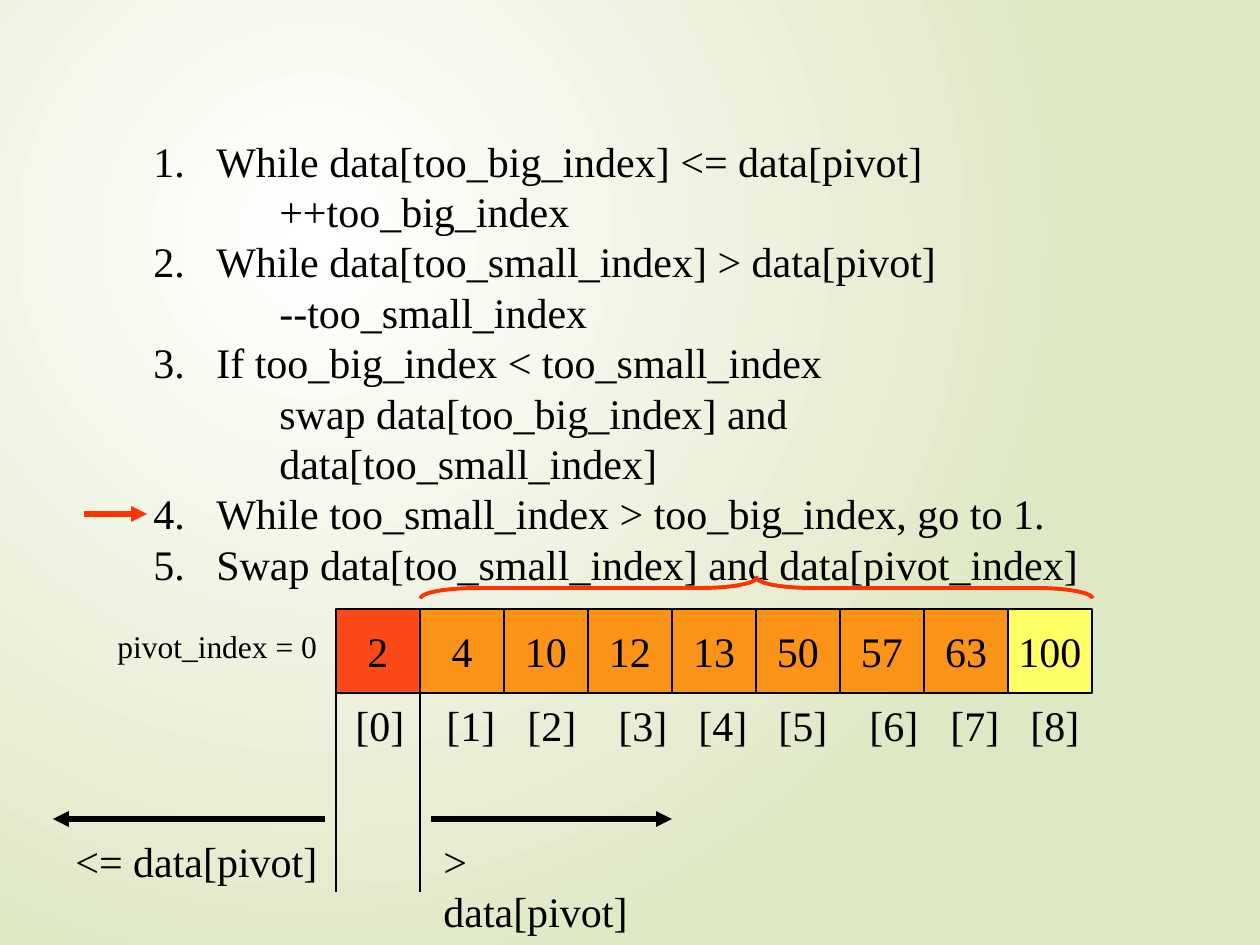
from dataclasses import dataclass
from itertools import accumulate

from lxml import etree
from pptx import Presentation
from pptx import util as u
from pptx.dml.color import RGBColor
from pptx.enum import shapes, text
from pptx.oxml.ns import qn

PX = 914400 / 126
FONT = "Times New Roman"
BLACK, RED = "000000", "FF3300"
PIVOT, SORTED, LAST = "FB4A18", "FB9318", "FFFF66"
CELL, ROW_LEFT, ROW_TOP = 84, 336, 609
STEP_INDENT = 63


@dataclass
class Step:
    condition: str
    action: str = ""


@dataclass
class Label:
    content: str
    left: int
    top: int
    width: int
    height: int = 63
    size: int = 24


@dataclass
class Line:
    start: tuple[int, int]
    end: tuple[int, int]
    color: str = BLACK
    width: float = 3
    arrow: bool = True


STEPS = [
    Step("While data[too_big_index] <= data[pivot]", "++too_big_index"),
    Step("While data[too_small_index] > data[pivot]", "--too_small_index"),
    Step("If too_big_index < too_small_index",
         "swap data[too_big_index] and data[too_small_index]"),
    Step("While too_small_index > too_big_index, go to 1."),
    Step("Swap data[too_small_index] and data[pivot_index]"),
]
VALUES = [2, 4, 10, 12, 13, 50, 57, 63, 100]
INDEX_GAPS = [91, 81, 91, 80, 80, 91, 81, 80]
LABELS = [
    Label("pivot_index = 0", 105, 621, 225, 50, 18),
    Label("> data[pivot]", 431, 829, 243),
    Label("<= data[pivot]", 63, 829, 267),
]
LINES = [
    Line((84, 514), (147, 514), RED),
    Line((420, ROW_TOP), (420, 892), width=0.75, arrow=False),
    Line((431, 819), (672, 819)),
    Line((336, ROW_TOP), (336, 892), width=0.75, arrow=False),
    Line((325, 819), (53, 819)),
]


def px(length: float) -> int:
    return round(length * PX)


def rgb(color: str) -> RGBColor:
    return RGBColor.from_string(color)


def write(paragraph, content: str, *, size: int = 24, color: str = BLACK, align=None) -> None:
    run = paragraph.add_run()
    run.text = content
    run.font.name = FONT
    run.font.size = u.Pt(size)
    run.font.color.rgb = rgb(color)
    if align is not None:
        paragraph.alignment = align


def add_box(slide, left: int, top: int, width: int, height: int, wrap: bool):
    box = slide.shapes.add_textbox(px(left), px(top), px(width), px(height))
    box.text_frame.word_wrap = wrap
    return box.text_frame


def paint_background(slide) -> None:
    fill = slide.background.fill
    fill.gradient()
    for stop, color, position in zip(fill.gradient_stops, ("FFFFFF", "DFE8C4"), (0, 1)):
        stop.color.rgb = rgb(color)
        stop.position = position
    gradient = slide.element.find(".//" + qn("a:gradFill"))
    linear = gradient.find(qn("a:lin"))
    circle = etree.Element(qn("a:path"), {"path": "circle"})
    etree.SubElement(circle, qn("a:fillToRect"),
                     {"l": "50000", "t": "50000", "r": "100000", "b": "100000"})
    gradient.replace(linear, circle)


def add_steps(slide) -> None:
    frame = add_box(slide, 141, 129, 1045, 566, wrap=True)
    rows = [(row, level) for step in STEPS
            for level, row in enumerate((step.condition, step.action)) if row]
    for number, (content, level) in enumerate(rows):
        paragraph = frame.add_paragraph() if number else frame.paragraphs[0]
        paragraph.level = level
        paragraph.line_spacing = u.Pt(28.8)
        write(paragraph, content)
        properties = paragraph._p.get_or_add_pPr()
        properties.set("marL", str(px(STEP_INDENT * (level + 1))))
        properties.set("indent", str(0 if level else -px(STEP_INDENT)))
        if level == 0:
            etree.SubElement(properties, qn("a:buFont"), {"typeface": FONT})
            etree.SubElement(properties, qn("a:buAutoNum"), {"type": "arabicPeriod"})


def add_cell(slide, position: int, value: int, color: str) -> None:
    cell = slide.shapes.add_shape(shapes.MSO_SHAPE.RECTANGLE, px(ROW_LEFT + position * CELL),
                                  px(ROW_TOP), px(CELL), px(CELL))
    cell.shadow.inherit = False
    cell.fill.solid()
    cell.fill.fore_color.rgb = rgb(color)
    cell.line.color.rgb = rgb(BLACK)
    cell.line.width = u.Pt(0.75)
    cell.text_frame.word_wrap = False
    cell.text_frame.vertical_anchor = text.MSO_ANCHOR.MIDDLE
    write(cell.text_frame.paragraphs[0], str(value), align=text.PP_ALIGN.CENTER)


def add_indices(slide) -> None:
    paragraph = add_box(slide, 343, 693, 750, 63, wrap=True).paragraphs[0]
    write(paragraph, "\t".join(f"[{index}]" for index in range(len(VALUES))))
    stops = etree.SubElement(paragraph._p.get_or_add_pPr(), qn("a:tabLst"))
    for stop in accumulate(INDEX_GAPS):
        etree.SubElement(stops, qn("a:tab"), {"pos": str(px(stop)), "algn": "l"})


def add_label(slide, label: Label) -> None:
    frame = add_box(slide, label.left, label.top, label.width, label.height, wrap=False)
    write(frame.paragraphs[0], label.content, size=label.size)


def add_brace(slide) -> None:
    brace = slide.shapes.add_shape(shapes.MSO_SHAPE.LEFT_BRACE, px(746), px(252), px(21), px(672))
    brace.rotation = 90
    brace.adjustments[0] = 2.67
    brace.adjustments[1] = 0.5
    brace.shadow.inherit = False
    brace.fill.background()
    brace.line.color.rgb = rgb(RED)
    brace.line.width = u.Pt(2.25)


def add_line(slide, line: Line) -> None:
    connector = slide.shapes.add_connector(shapes.MSO_CONNECTOR.STRAIGHT,
                                           *map(px, line.start + line.end))
    connector.line.color.rgb = rgb(line.color)
    connector.line.width = u.Pt(line.width)
    if line.arrow:
        etree.SubElement(connector.line._get_or_add_ln(), qn("a:tailEnd"), {"type": "triangle"})
    etree.SubElement(connector._element.spPr, qn("a:effectLst"))


def main() -> None:
    presentation = Presentation()
    presentation.slide_width = px(1260)
    presentation.slide_height = px(945)
    slide = presentation.slides.add_slide(presentation.slide_layouts[6])
    paint_background(slide)
    add_steps(slide)
    colors = [PIVOT] + [SORTED] * (len(VALUES) - 2) + [LAST]
    for position, (value, color) in enumerate(zip(VALUES, colors)):
        add_cell(slide, position, value, color)
    add_indices(slide)
    add_brace(slide)
    for line in LINES:
        add_line(slide, line)
    for label in LABELS:
        add_label(slide, label)
    presentation.save("out.pptx")


if __name__ == "__main__":
    main()
